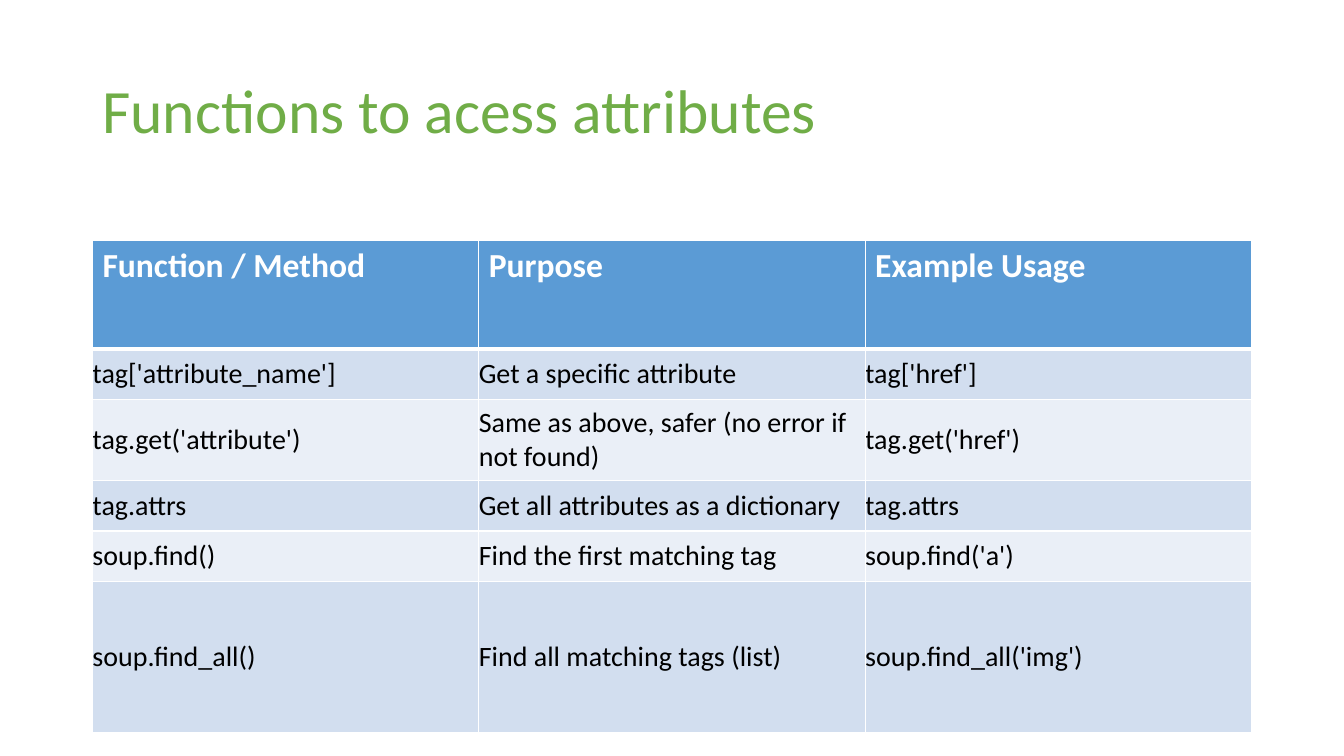
from lxml import etree
from pptx import Presentation
from pptx import util as u
from pptx.dml.color import RGBColor
from pptx.enum import text
from pptx.oxml import ns

GREEN = RGBColor(0x70, 0xAD, 0x47)
BLUE = RGBColor(0x5B, 0x9B, 0xD5)
PALE = RGBColor(0xD2, 0xDE, 0xEF)
LIGHT = RGBColor(0xEA, 0xEF, 0xF7)
WHITE = RGBColor(0xFF, 0xFF, 0xFF)
BLACK = RGBColor(0, 0, 0)

MIDDLE = text.MSO_ANCHOR.MIDDLE
BARE = dict.fromkeys(
    ("margin_left", "margin_top", "margin_right", "margin_bottom"), 0)

ROWS = [
    ("Function / Method", "Purpose", "Example Usage"),
    ("tag['attribute_name']", "Get a specific attribute", "tag['href']"),
    ("tag.get('attribute')", "Same as above, safer (no error if not found)",
     "tag.get('href')"),
    ("tag.attrs", "Get all attributes as a dictionary", "tag.attrs"),
    ("soup.find()", "Find the first matching tag", "soup.find('a')"),
    ("soup.find_all()", "Find all matching tags (list)",
     "soup.find_all('img')"),
]
HEIGHTS = [2.74, 1.28, 2.03, 1.28, 1.28, 3.81]


def apply(item, values):
    for name, value in values.items():
        setattr(item, name, value)


class Deck:
    """Holds the type style and the current slide."""

    def __init__(self, font):
        self.font = font
        self.prs = Presentation()
        apply(self.prs, {"slide_width": u.Cm(33.87),
                         "slide_height": u.Cm(19.05)})
        self.slide = self.prs.slides.add_slide(self.prs.slide_layouts[6])

    def label(self, frame, words, size, color, bold=False):
        run = frame.paragraphs[0].add_run()
        run.text = words
        apply(run.font, {"name": self.font, "size": u.Pt(size), "bold": bold})
        run.font.color.rgb = color

    def title(self, words, box):
        frame = self.slide.shapes.add_textbox(*map(u.Cm, box)).text_frame
        apply(frame, {"word_wrap": True, "vertical_anchor": MIDDLE})
        frame.paragraphs[0].line_spacing = 0.9
        self.label(frame, words, 44, GREEN)

    def edges(self, cell, widths):
        props = cell._tc.get_or_add_tcPr()
        for side, width in widths.items():
            line = etree.SubElement(props, ns.qn("a:ln" + side),
                                    w=str(u.Pt(width)))
            fill = etree.SubElement(line, ns.qn("a:solidFill"))
            etree.SubElement(fill, ns.qn("a:srgbClr"), val=str(WHITE))

    def table(self, rows, heights, box):
        grid = self.slide.shapes.add_table(
            len(rows), len(rows[0]), *map(u.Cm, box)).table
        for row, height in zip(grid.rows, heights):
            row.height = u.Cm(height)
        for r, row in enumerate(rows):
            for c, words in enumerate(row):
                self.cell(grid.cell(r, c), words, r)

    def cell(self, cell, words, r):
        # The rule under the header is thicker than the others
        head = r == 0
        self.edges(cell, {"L": 1, "R": 1, "T": 3 if r == 1 else 1,
                          "B": 3 if head else 1})
        cell.fill.solid()
        cell.fill.fore_color.rgb = BLUE if head else (LIGHT, PALE)[r % 2]
        if head:
            self.label(cell.text_frame, words, 24, WHITE, True)
        else:
            apply(cell, {"vertical_anchor": MIDDLE, **BARE})
            self.label(cell.text_frame, words, 20, BLACK)


def main():
    deck = Deck("Calibri")
    # Heading
    deck.title("Functions to acess attributes", (2.33, 1.01, 29.21, 3.68))
    # Function overview
    deck.table(ROWS, HEIGHTS, (2.33, 6.05, 29.21, sum(HEIGHTS)))
    deck.prs.save("out.pptx")


if __name__ == "__main__":
    main()
